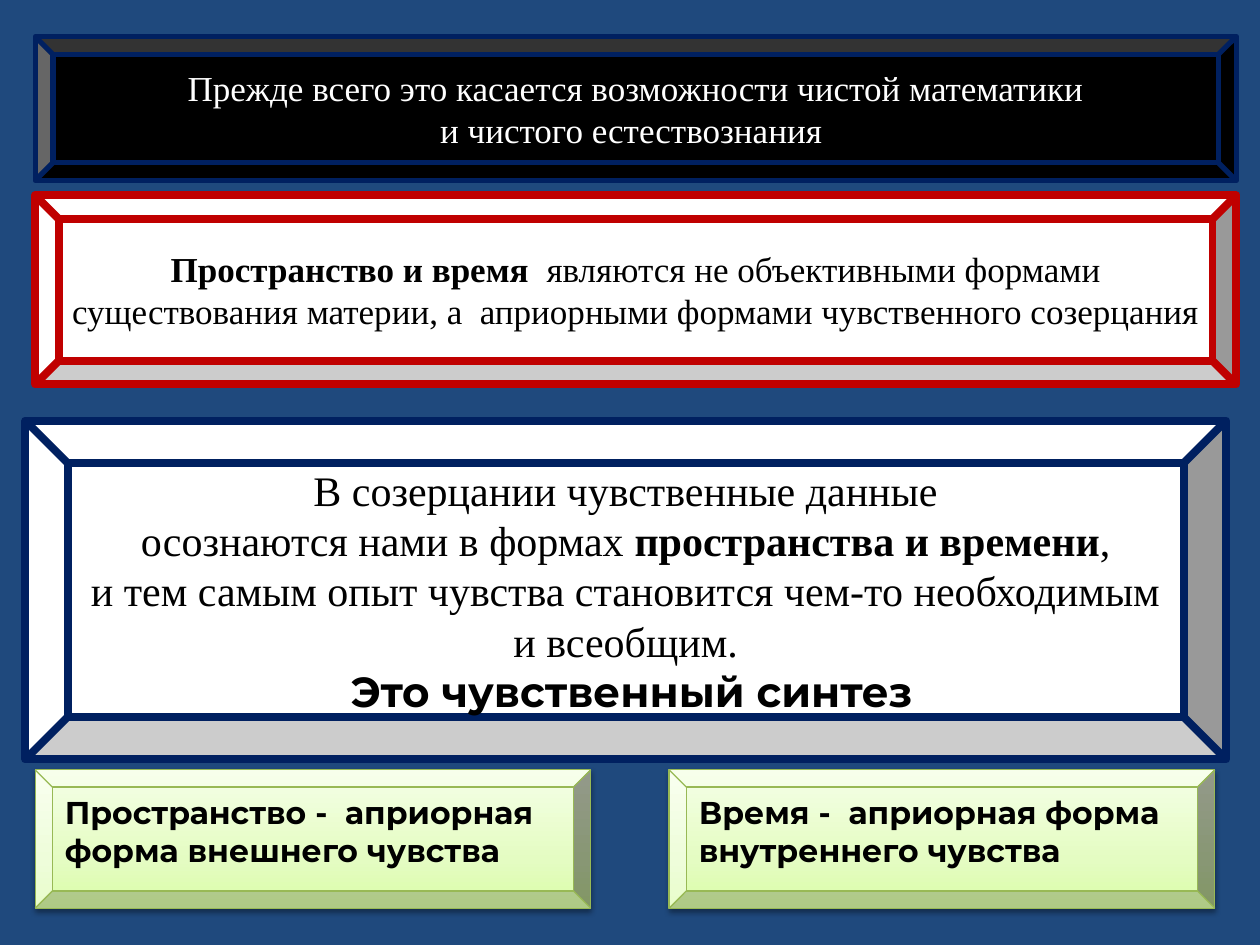
"""Build a slide of bevelled panels on space and time as a priori forms."""
from lxml.etree import SubElement
from pptx import Presentation
from pptx.dml.color import RGBColor as Rgb
from pptx.enum.shapes import MSO_SHAPE as Preset
from pptx.enum.text import MSO_ANCHOR as Anchor, PP_ALIGN as Align
from pptx.oxml.ns import qn
from pptx.util import Cm, Pt

SERIF, SANS = "Times New Roman", "Montserrat"
LEFT, WIDE = 0.71, 24.21
FORMS_TOP, FORMS_HEIGHT = 15.52, 2.79
GREEN_STOPS = [(0, "DAFDA7"), (35, "E4FCC2"), (100, "F5FFE7")]

PANELS = [
    {
        "box": (LEFT, 3.94, WIDE, 3.81), "fill": "FFFFFF", "line": ("C00000", 4.5),
        "size": 20, "color": "000000",
        "lines": [
            [("Пространство и время  ", {"bold": True}),
             ("являются не объективными формами", {})],
            [("существования материи, а  априорными формами чувственного созерцания", {})],
        ],
    },
    {
        "box": (LEFT, 0.74, WIDE, 2.9), "fill": "000000", "line": ("002060", 3),
        "size": 20, "color": "FFFFFF",
        "lines": [
            [("Прежде всего это касается возможности чистой математики", {})],
            [("и чистого естествознания ", {})],
        ],
    },
    {
        "box": (0.51, 8.48, WIDE, 6.83), "fill": "FFFFFF", "line": ("002060", 4.5),
        "size": 24, "color": "000000",
        "lines": [
            [("В созерцании чувственные данные", {})],
            [("осознаются нами в формах ", {}),
             ("пространства и времени", {"bold": True}), (",", {})],
            [("и тем самым опыт чувства становится чем-то необходимым", {})],
            [("и всеобщим.", {})],
            [(" Это чувственный синтез", {"bold": True, "font": SANS})],
        ],
    },
]
FORMS = [
    (LEFT, 11.2, ["Пространство -  априорная", "форма внешнего чувства"]),
    (13.49, 11.0, ["Время -  априорная форма", "внутреннего чувства"]),
]


def rgb(value):
    return Rgb.from_string(value)


def add_run(paragraph, text, size=20, color="000000", font=SERIF, bold=False):
    run = paragraph.add_run()
    run.text = text
    run.font.size = Pt(size)
    run.font.name = font
    run.font.bold = bold
    run.font.color.rgb = rgb(color)


def write_lines(shape, lines, align, anchor, **style):
    frame = shape.text_frame
    frame.word_wrap = False
    frame.vertical_anchor = anchor
    for index, runs in enumerate(lines):
        paragraph = frame.add_paragraph() if index else frame.paragraphs[0]
        paragraph.alignment = align
        for text, changes in runs:
            add_run(paragraph, text, **{**style, **changes})


def add_bevel(slide, box, line):
    shape = slide.shapes.add_shape(Preset.BEVEL, *map(Cm, box))
    shape.shadow.inherit = False
    color, width = line
    shape.line.color.rgb = rgb(color)
    shape.line.width = Pt(width)
    return shape


def add_color(parent, value):
    return SubElement(parent, qn("a:srgbClr"), val=value)


def fill_gradient(shape, stops):
    shape.fill.gradient()
    shape.fill.gradient_angle = 90
    stop_list = shape.element.spPr.find(".//" + qn("a:gsLst"))
    for stop in list(stop_list):
        stop_list.remove(stop)
    for position, color in stops:
        add_color(SubElement(stop_list, qn("a:gs"), pos=str(position * 1000)), color)


def add_shadow(shape):
    effects = shape.element.spPr.find(qn("a:effectLst"))
    shadow = SubElement(effects, qn("a:outerShdw"), blurRad=str(Pt(3.1)),
                        dist=str(Pt(1.6)), dir="5400000", rotWithShape="0")
    SubElement(add_color(shadow, "000000"), qn("a:alpha"), val="38000")


def main():
    presentation = Presentation()
    presentation.slide_width, presentation.slide_height = Cm(25.4), Cm(19.05)
    slide = presentation.slides.add_slide(presentation.slide_layouts[6])
    slide.background.fill.solid()
    slide.background.fill.fore_color.rgb = rgb("1F497D")

    for panel in PANELS:
        shape = add_bevel(slide, panel["box"], panel["line"])
        shape.fill.solid()
        shape.fill.fore_color.rgb = rgb(panel["fill"])
        write_lines(shape, panel["lines"], Align.CENTER, Anchor.MIDDLE,
                    size=panel["size"], color=panel["color"])

    for left, width, lines in FORMS:
        shape = add_bevel(slide, (left, FORMS_TOP, width, FORMS_HEIGHT), ("98B955", 0.75))
        fill_gradient(shape, GREEN_STOPS)
        add_shadow(shape)
        write_lines(shape, [[(text, {})] for text in lines], Align.JUSTIFY, Anchor.TOP,
                    size=18, font=SANS, bold=True)

    presentation.save("out.pptx")


if __name__ == "__main__":
    main()
